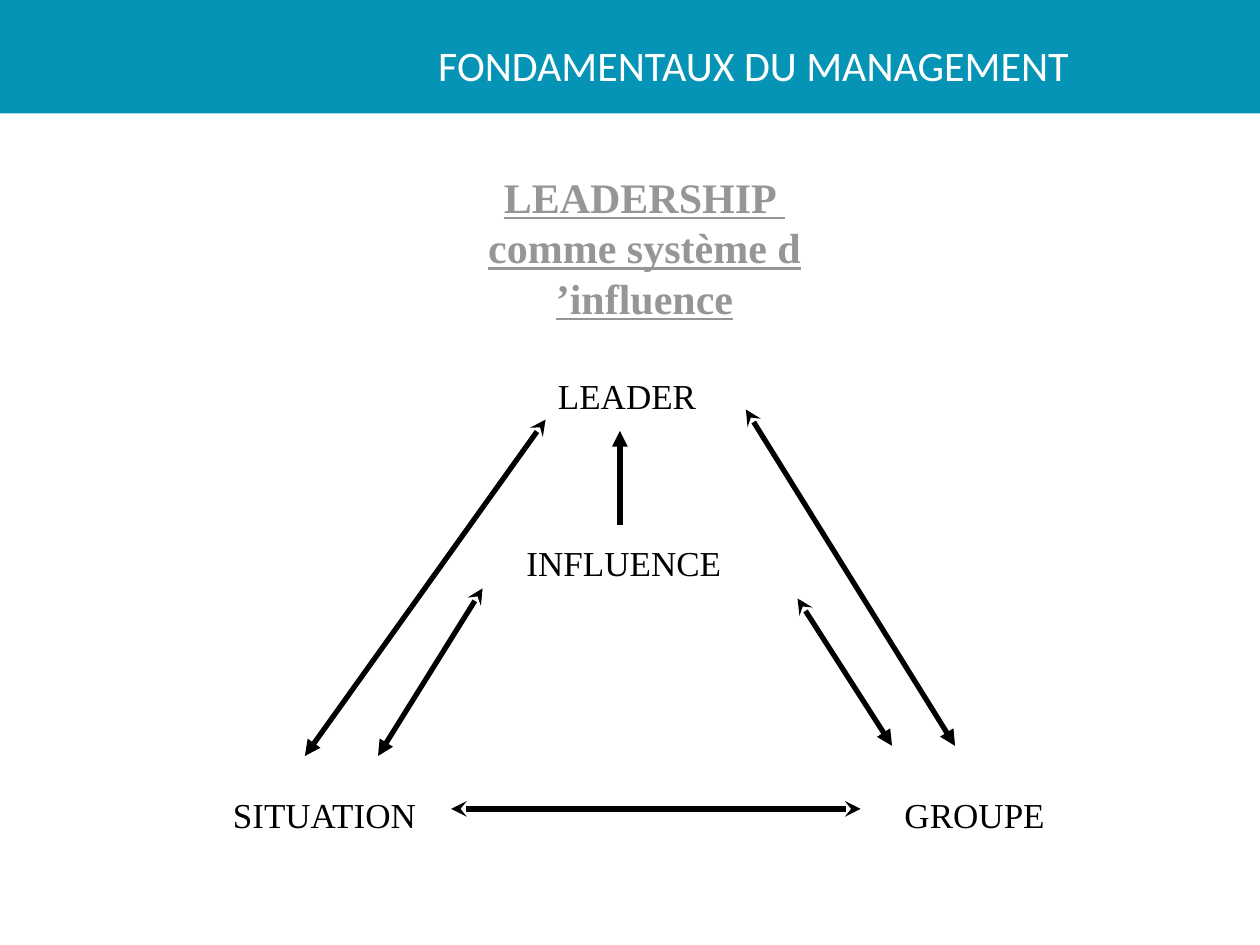
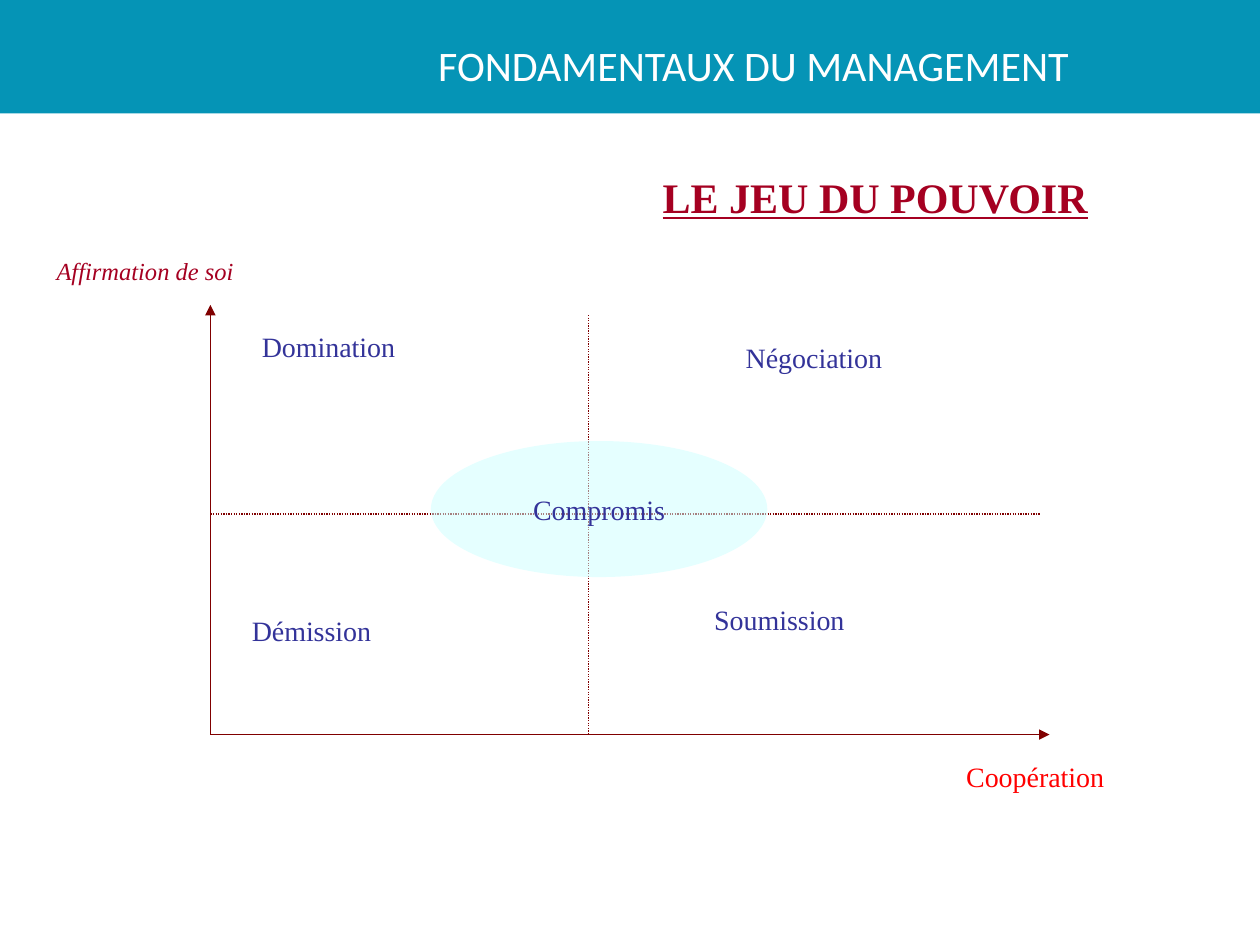
"""Build two management slides: leadership as influence, and the power game."""
from lxml import etree
from pptx import Presentation
from pptx.dml.color import RGBColor
from pptx.enum.dml import MSO_LINE
from pptx.enum.shapes import MSO_CONNECTOR, MSO_SHAPE
from pptx.enum.text import MSO_ANCHOR, MSO_AUTO_SIZE, PP_ALIGN
from pptx.oxml.ns import qn
from pptx.util import Inches, Pt

STRAIGHT = MSO_CONNECTOR.STRAIGHT
RECTANGLE, OVAL = MSO_SHAPE.RECTANGLE, MSO_SHAPE.OVAL
DOTTED = MSO_LINE.ROUND_DOT
TOP, MIDDLE = MSO_ANCHOR.TOP, MSO_ANCHOR.MIDDLE
LEFT, CENTER = PP_ALIGN.LEFT, PP_ALIGN.CENTER
NO_AUTOFIT = MSO_AUTO_SIZE.NONE

COLORS = {
    "band": "0594B6",
    "white": "FFFFFF",
    "black": "000000",
    "grey": "969696",
    "crimson": "A50021",
    "axis": "800000",
    "label": "333399",
    "red": "FF0000",
    "pale": "CCFFFF",
}
SERIF = "Times New Roman"


def write_text(shape, text, size, color, align=LEFT, anchor=TOP, wrap=False,
               font=SERIF, bold=False, italic=False, underline=False):
    frame = shape.text_frame
    frame.text = text
    frame.auto_size = NO_AUTOFIT
    frame.word_wrap = wrap
    frame.vertical_anchor = anchor
    for paragraph in frame.paragraphs:
        paragraph.alignment = align
        paragraph.font.name = font
        paragraph.font.size = Pt(size)
        paragraph.font.bold = bold
        paragraph.font.italic = italic
        paragraph.font.underline = underline
        paragraph.font.color.rgb = RGBColor.from_string(COLORS[color])


def draw_line(page, start, end, color, width, head=None, tail=None, dash=None):
    connector = page.shapes.add_connector(STRAIGHT, *map(Inches, start + end))
    connector.line.color.rgb = RGBColor.from_string(COLORS[color])
    connector.line.width = Pt(width)
    if dash:
        connector.line.dash_style = dash
    properties = connector._element.spPr
    outline = properties.find(qn("a:ln"))
    for tag, arrow in (("a:headEnd", head), ("a:tailEnd", tail)):
        if arrow:
            etree.SubElement(outline, qn(tag), type=arrow)
    etree.SubElement(properties, qn("a:effectLst"))


deck = Presentation()
deck.slide_width, deck.slide_height = Inches(10), Inches(7.5)
title_only = deck.slide_layouts[5]

titles = [
    ("LEADERSHIP \ncomme système d ’influence", (3.03, 1.31, 4.17, 0.9), "grey", CENTER),
    ("LE JEU DU POUVOIR", (5.16, 1.31, 3.58, 0.5), "crimson", LEFT),
]
for text, place, color, align in titles:
    page = deck.slides.add_slide(title_only)
    title = page.shapes.title
    title.left, title.top, title.width, title.height = map(Inches, place)
    write_text(title, text, 24, color, align, bold=True, underline=True)

    band = page.shapes.add_shape(RECTANGLE, 0, 0, deck.slide_width, Inches(0.9))
    band.shadow.inherit = False
    band.fill.solid()
    band.fill.fore_color.rgb = RGBColor.from_string(COLORS["band"])
    band.line.fill.background()
    heading = page.shapes.add_textbox(*map(Inches, (2.95, 0.13, 6.06, 0.76)))
    write_text(heading, "FONDAMENTAUX DU MANAGEMENT", 24, "white", CENTER, MIDDLE,
               wrap=True, font="Calibri")

leadership, power = deck.slides

roles = [
    ("LEADER", 4.33, 2.92, 1.3),
    ("INFLUENCE", 4.08, 4.25, 1.75),
    ("GROUPE", 7.08, 6.25, 1.32),
    ("SITUATION", 1.75, 6.25, 1.69),
]
for text, left, top, width in roles:
    box = leadership.shapes.add_textbox(*map(Inches, (left, top, width, 0.43)))
    write_text(box, text, 20, "black")

influences = [
    ((4.92, 4.17), (4.92, 3.42), None, "triangle"),
    ((3.58, 6.42), (6.83, 6.42), "stealth", "stealth"),
    ((3.83, 4.67), (3, 6), "stealth", "triangle"),
    ((4.33, 3.33), (2.42, 6), "stealth", "triangle"),
    ((6.33, 4.75), (7.08, 5.92), "stealth", "triangle"),
    ((5.92, 3.25), (7.58, 5.92), "stealth", "triangle"),
]
for start, end, head, tail in influences:
    draw_line(leadership, start, end, "black", 3, head, tail)

origin = (1.67, 5.83)
for axis_end in ((1.67, 2.42), (8.33, 5.83)):
    draw_line(power, origin, axis_end, "axis", 0.75, tail="triangle")
for start, end in (((4.67, 2.5), (4.67, 5.83)), ((1.67, 4.08), (8.25, 4.08))):
    draw_line(power, start, end, "axis", 0.75, dash=DOTTED)

compromise = power.shapes.add_shape(OVAL, *map(Inches, (3.42, 3.5, 2.67, 1.08)))
compromise.shadow.inherit = False
compromise.fill.solid()
compromise.fill.fore_color.rgb = RGBColor.from_string(COLORS["pale"])
compromise.line.fill.background()
fill_color = compromise._element.spPr.find(qn("a:solidFill"))[0]
etree.SubElement(fill_color, qn("a:alpha"), val="50000")
write_text(compromise, "Compromis", 16, "label", CENTER, MIDDLE)

attitudes = [
    ("Domination", 1.98, 2.57, 1.27, "label"),
    ("Démission", 1.9, 4.82, 1.15, "label"),
    ("Soumission", 5.57, 4.73, 1.24, "label"),
    ("Négociation", 5.82, 2.65, 1.29, "label"),
    ("Coopération", 7.57, 5.98, 1.3, "red"),
]
for text, left, top, width, color in attitudes:
    box = power.shapes.add_textbox(*map(Inches, (left, top, width, 0.37)))
    write_text(box, text, 16, color)

assertion = power.shapes.add_textbox(*map(Inches, (0.35, 1.98, 2.05, 0.33)))
write_text(assertion, "Affirmation de soi", 14, "crimson", wrap=True, italic=True)

deck.save("out.pptx")
